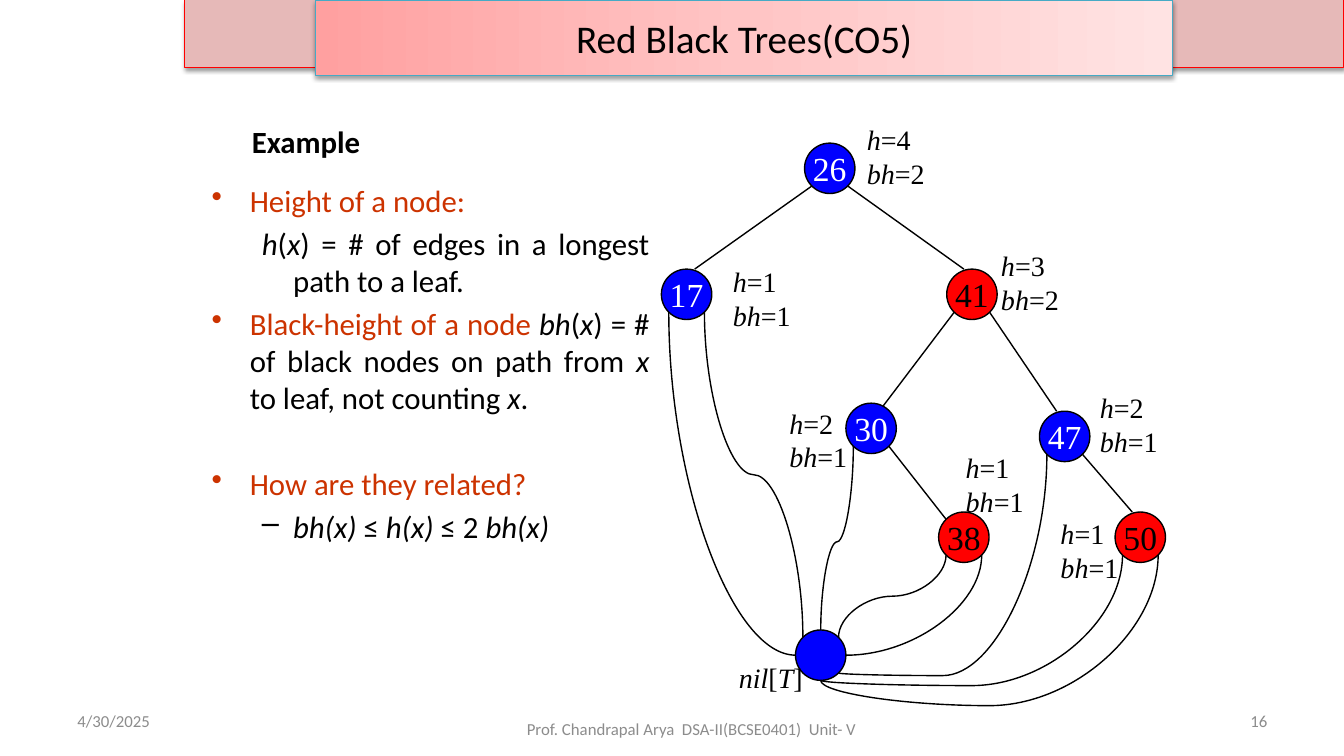
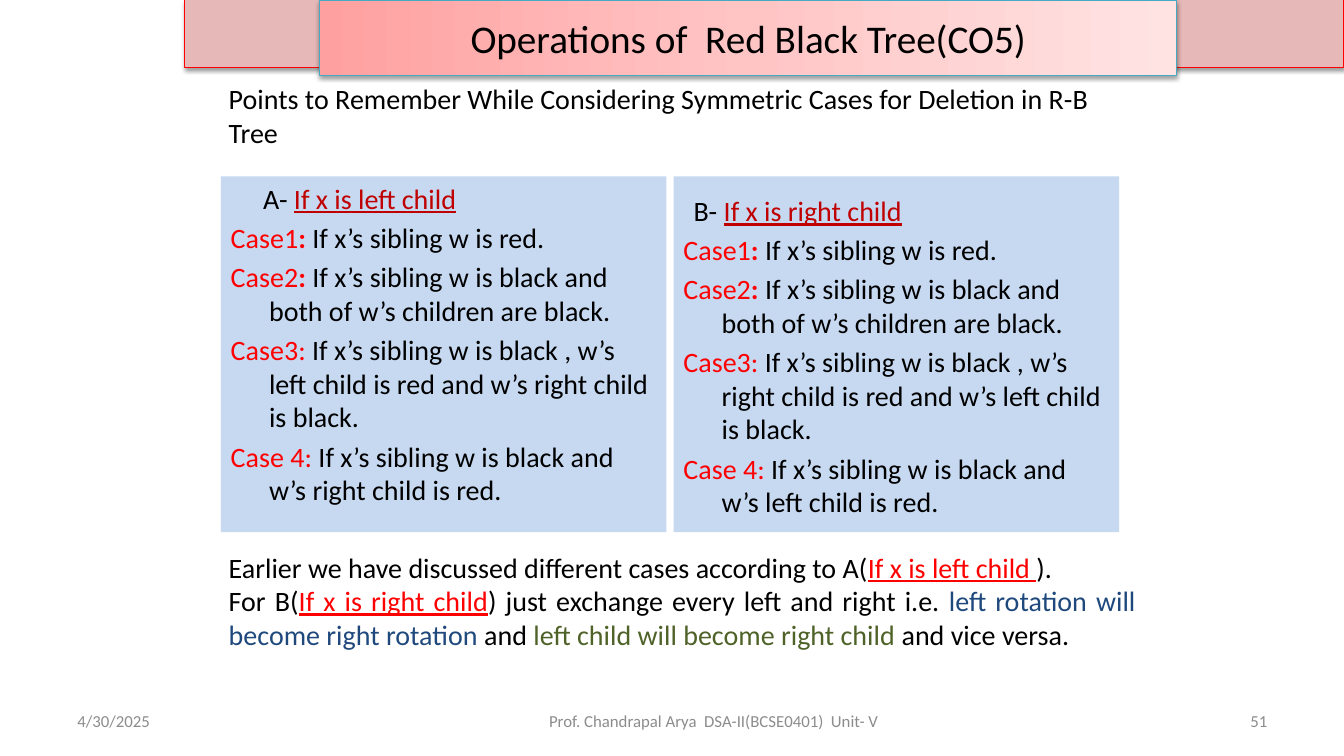
from math import cos, radians, sin

from lxml import etree
from pptx import Presentation
from pptx.dml.color import RGBColor
from pptx.enum.shapes import MSO_CONNECTOR, MSO_SHAPE
from pptx.enum.text import MSO_ANCHOR, MSO_AUTO_SIZE, PP_ALIGN
from pptx.oxml.ns import qn
from pptx.util import Inches, Pt

OVAL, RECTANGLE = MSO_SHAPE.OVAL, MSO_SHAPE.RECTANGLE
STRAIGHT, CURVE = MSO_CONNECTOR.STRAIGHT, MSO_CONNECTOR.CURVE
LEFT, CENTER, RIGHT, JUSTIFY = (PP_ALIGN.LEFT, PP_ALIGN.CENTER,
                                PP_ALIGN.RIGHT, PP_ALIGN.JUSTIFY)
TOP, MIDDLE = MSO_ANCHOR.TOP, MSO_ANCHOR.MIDDLE
NO_AUTOFIT = MSO_AUTO_SIZE.NONE

BLACK = RGBColor(0x00, 0x00, 0x00)
WHITE = RGBColor(0xFF, 0xFF, 0xFF)
RED = RGBColor(0xFF, 0x00, 0x00)
BLUE = RGBColor(0x00, 0x00, 0xFF)
PINK = RGBColor(0xE6, 0xB9, 0xB8)
TEAL = RGBColor(0x46, 0xAA, 0xC5)
GRAY = RGBColor(0x8C, 0x8C, 0x8C)
RUST = RGBColor(0xCC, 0x33, 0x00)
CRIMSON = RGBColor(0xC0, 0x00, 0x00)
PANEL_BLUE = RGBColor(0xC6, 0xD9, 0xF1)
NAVY = RGBColor(0x1F, 0x49, 0x7D)
OLIVE = RGBColor(0x4F, 0x62, 0x28)
BANNER_STOPS = [(0, RGBColor(0xFF, 0xA0, 0xA0)),
                (0.5, RGBColor(0xFF, 0xC5, 0xC5)),
                (1, RGBColor(0xFF, 0xE3, 0xE3))]

WIDTH, HEIGHT = 13.33, 7.5
MARGIN = 0.67
NODE_SIZE = 0.5
RADIUS = NODE_SIZE / 2
EDGE_OFFSET = 0.17

ITALIC = {"italic": True}
RUST_TEXT = {"color": RUST}
RED_TEXT = {"color": RED}
RED_LINK = {"color": RED, "underline": True}
CRIMSON_LINK = {"color": CRIMSON, "underline": True}

# name: (centre x, centre y, fill, text colour)
NODES = {
    "26": (8.23, 1.67, BLUE, WHITE),
    "17": (6.81, 2.92, BLUE, WHITE),
    "41": (9.64, 2.92, RED, BLACK),
    "30": (8.64, 4.25, BLUE, WHITE),
    "47": (10.56, 4.33, BLUE, WHITE),
    "38": (9.56, 5.33, RED, BLACK),
    "50": (11.31, 5.33, RED, BLACK),
    "": (8.14, 6.5, BLUE, WHITE),
}
# parent, child, distance of the end from the child's top centre (x, y)
EDGES = [("26", "17", 0.08, 0), ("26", "41", 0.08, 0),
         ("41", "30", 0.08, 0.08), ("41", "47", 0.08, 0),
         ("47", "50", 0.08, 0), ("30", "38", 0.17, 0.08)]
# node, its site, site on nil, bend; oval sites run counterclockwise from the top
NIL_CURVES = [("38", 3, 7, 0.5), ("38", 5, 6, None),
              ("47", 3, 5, 1.012), ("30", 3, 0, 0.52),
              ("17", 5, 1, 0.5), ("17", 3, 2, None),
              ("50", 3, 4, 1.042), ("50", 5, 4, 1.202)]
# left, top, height, black-height
HEIGHT_LABELS = [(8.5, 1.17, 4, 2), (9.83, 2.42, 3, 2), (7.73, 3.98, 2, 1),
                 (10.81, 3.83, 2, 1), (9.48, 4.42, 1, 1),
                 (7.17, 2.58, 1, 1), (10.42, 5.08, 1, 1)]


def place(shape, left, top, width, height):
    values = {"left": left, "top": top, "width": width, "height": height}
    for name, value in values.items():
        setattr(shape, name, Inches(value))


def write_paragraph(para, spans, size=20, font="Calibri", align=LEFT,
                    before=0, margin=0, indent=0, bullet=None):
    """Fill a paragraph with (text, overrides) spans or plain strings."""
    para.alignment = align
    para.space_before = Pt(before)
    properties = para._p.get_or_add_pPr()
    properties.set("marL", str(Inches(margin)))
    properties.set("indent", str(Inches(indent)))
    if bullet:
        etree.SubElement(properties, qn("a:buChar")).set("char", bullet)
    for span in spans:
        text, overrides = (span, {}) if isinstance(span, str) else span
        values = {"name": font, "size": Pt(size), "color": BLACK, **overrides}
        run = para.add_run()
        run.text = text
        run.font.color.rgb = values.pop("color")
        for name, value in values.items():
            setattr(run.font, name, value)


def write_text(shape, paragraphs, anchor=TOP, wrap=True, **common):
    """Write (spans, formats) paragraphs into a shape."""
    frame = shape.text_frame
    frame.auto_size = NO_AUTOFIT
    frame.word_wrap = wrap
    frame.vertical_anchor = anchor
    for index, (spans, formats) in enumerate(paragraphs):
        para = frame.add_paragraph() if index else frame.paragraphs[0]
        write_paragraph(para, spans, **{**common, **formats})


def add_text(page, area, paragraphs, **formats):
    box = page.shapes.add_textbox(*map(Inches, area))
    write_text(box, paragraphs, **formats)
    return box


def add_figure(page, kind, area, fill, line=None, weight=1):
    shape = page.shapes.add_shape(kind, *map(Inches, area))
    shape.shadow.inherit = False
    shape.fill.solid()
    shape.fill.fore_color.rgb = fill
    if line is None:
        shape.line.fill.background()
    else:
        shape.line.color.rgb = line
        shape.line.width = Pt(weight)
    return shape


def add_line(page, kind, start, end):
    line = page.shapes.add_connector(kind, *map(Inches, (*start, *end)))
    line.line.color.rgb = BLACK
    line.line.width = Pt(1)
    etree.SubElement(line._element.spPr, qn("a:effectLst"))
    return line


def cast_shadow(shape):
    shape.shadow.inherit = False
    effects = shape._element.spPr.find(qn("a:effectLst"))
    shadow = etree.SubElement(effects, qn("a:outerShdw"), blurRad="40000",
                              dist="20000", dir="5400000", rotWithShape="0")
    color = etree.SubElement(shadow, qn("a:srgbClr"), val="000000")
    etree.SubElement(color, qn("a:alpha"), val="38000")


def add_layout_band(page):
    """Draw the band behind the titles and hand it over to the layout."""
    band = add_figure(page, RECTANGLE, (1.83, 0, WIDTH - 1.83, 0.67),
                      PINK, RED, 0.75)
    cast_shadow(band)
    page.slide_layout.shapes._spTree.append(band._element)


def format_banner(page, text, left):
    banner = page.shapes.title
    place(banner, left, 0, 8.5, 0.75)
    banner.fill.gradient()
    banner.fill.gradient_angle = 0
    stop_list = banner._element.spPr.find(".//" + qn("a:gsLst"))
    etree.SubElement(stop_list, qn("a:gs"), pos="100000").append(
        etree.Element(qn("a:srgbClr"), val="FFFFFF"))
    for stop, (position, color) in zip(banner.fill.gradient_stops, BANNER_STOPS):
        stop.position = position
        stop.color.rgb = color
    banner.line.color.rgb = TEAL
    banner.line.width = Pt(0.75)
    cast_shadow(banner)
    write_text(banner, [([text], {})], anchor=MIDDLE, size=28, align=CENTER)


def add_footer(page, number, center_left, center_top):
    top, height, width = 6.95, 0.4, 3.11
    parts = [
        ("4/30/2025", (MARGIN, top, width, height), LEFT),
        ("Prof. Chandrapal Arya  DSA-II(BCSE0401)  Unit- V",
         (center_left, center_top, 4, height), CENTER),
        (str(number), (WIDTH - MARGIN - width + 0.01, top, width, height), RIGHT),
    ]
    for text, area, align in parts:
        add_text(page, area, [([(text, {"color": GRAY})], {})],
                 anchor=MIDDLE, size=12, align=align)


def site_point(name, site):
    x, y = NODES[name][:2]
    angle = radians(45 * site)
    return x - RADIUS * sin(angle), y - RADIUS * cos(angle)


def add_nodes(page):
    ovals = {}
    for name, (x, y, fill, color) in NODES.items():
        area = (x - RADIUS, y - RADIUS, NODE_SIZE, NODE_SIZE)
        oval = ovals[name] = add_figure(page, OVAL, area, fill, BLACK)
        if name:
            write_text(oval, [([(name, {"color": color})], {})], anchor=MIDDLE,
                       wrap=False, size=24, font="Times New Roman", align=CENTER)
    return ovals


def add_edge(page, parent, child, end_x, end_y):
    x, y = NODES[parent][:2]
    child_x, child_y = NODES[child][:2]
    side = 1 if child_x > x else -1
    add_line(page, STRAIGHT, (x + side * EDGE_OFFSET, y + EDGE_OFFSET),
             (child_x - side * end_x, child_y - RADIUS + end_y))


def add_nil_curve(page, ovals, name, site, nil_site, bend):
    """Join a node to nil by a curve that leaves the node downwards."""
    (x1, y1), (x2, y2) = start, end = site_point(name, site), site_point("", nil_site)
    curve = add_line(page, CURVE, start, end)
    across, down = abs(x2 - x1), y2 - y1
    place(curve, (x1 + x2 - down) / 2, (y1 + y2 - across) / 2, down, across)
    frame = curve._element.spPr.find(qn("a:xfrm"))
    frame.attrib.pop("flipH", None)
    if x2 > x1:
        frame.set("flipH", "1")
    frame.set("rot", str((270 if x2 > x1 else 90) * 60000))
    geometry = curve._element.spPr.find(qn("a:prstGeom"))
    geometry.set("prst", "curvedConnector3" if bend else "curvedConnector2")
    if bend:
        guides = geometry.find(qn("a:avLst"))
        etree.SubElement(guides, qn("a:gd"), name="adj1",
                         fmla=f"val {round(bend * 100000)}")
    joints = curve._element.find(".//" + qn("p:cNvCxnSpPr"))
    for tag, oval, index in (("a:stCxn", ovals[name], site),
                             ("a:endCxn", ovals[""], nil_site)):
        etree.SubElement(joints, qn(tag), id=str(oval.shape_id), idx=str(index))


def add_tree(page):
    for edge in EDGES:
        add_edge(page, *edge)
    ovals = add_nodes(page)
    for curve in NIL_CURVES:
        add_nil_curve(page, ovals, *curve)
    label = {"font": "Times New Roman", "wrap": False}
    for left, top, height, black_height in HEIGHT_LABELS:
        add_text(page, (left, top, 0.77, 0.77),
                 [([("h", ITALIC), f"={height}"], {}),
                  ([("bh", ITALIC), f"={black_height}"], {})], **label)
    add_text(page, (7.23, 6.5, 0.83, 0.43),
             [([("nil", ITALIC), "[", ("T", ITALIC), "]"], {})], **label)


def add_definitions(page):
    top = {"margin": 0.38, "indent": -0.38, "bullet": "•"}
    sub = {"margin": 0.81, "indent": -0.31, "before": 4.4}
    add_text(page, (2.4, 1.17, 1.66, 0.47),
             [([("Example", {"bold": True})], {})], size=22, align=JUSTIFY)
    add_text(page, (2, 1.75, 4.54, 4.5), [
        ([("Height of a node:", RUST_TEXT)], top),
        ([("h", ITALIC), "(", ("x", ITALIC),
          ") = # of edges in a longest path to a leaf."], sub),
        ([("Black-height of a node ", RUST_TEXT), ("bh", ITALIC), "(",
          ("x", ITALIC), ") = # of black nodes on path from ", ("x ", ITALIC),
          "to leaf, not counting ", ("x", ITALIC), "."], {**top, "before": 4.4}),
        ([("How are they related?", RUST_TEXT)], {**top, "before": 35}),
        ([("bh(x) ", ITALIC), "≤ ", ("h(x) ", ITALIC), "≤ 2 ", ("bh(x)", ITALIC)],
         {**sub, "bullet": "–"}),
    ], size=22, align=JUSTIFY)


def add_case_panel(page, left, letter, side, other, heading_margin, inset):
    panel = add_figure(page, RECTANGLE, (left, 1.75, 4.42, 3.53), PANEL_BLUE)
    panel.text_frame.margin_top = Inches(inset)
    colon = (": ", {"color": RED, "bold": True})
    cases = [
        [("Case1", RED_TEXT), colon, "If x’s sibling w is red."],
        [("Case2", RED_TEXT), colon,
         "If x’s sibling w is black and both of w’s children are black."],
        [("Case3:", RED_TEXT), f" If x’s sibling w is black , w’s {side} child "
         f"is red and w’s {other} child is black."],
        [("Case 4:", RED_TEXT),
         f" If x’s sibling w is black and w’s {other} child is red."],
    ]
    hanging = {"margin": 0.38, "indent": -0.38, "before": 4}
    heading = [f"{letter}- ", (f"If x is {side} child", CRIMSON_LINK)]
    write_text(panel, [(heading, {"margin": heading_margin})]
               + [(case, hanging) for case in cases])


def add_deletion_notes(page):
    add_text(page, (2.17, 0.76, 9, 0.92), [
        (["Points to Remember While Considering Symmetric Cases for "
          "Deletion in R-B Tree"], {})])
    add_case_panel(page, 2.19, "A", "left", "right", 0.32, 0.05)
    add_case_panel(page, 6.68, "B", "right", "left", 0.1, 0.17)
    add_text(page, (2.17, 5.41, 9.19, 1.11), [
        (["Earlier we have discussed different cases according to A(",
          ("If x is left child ", RED_LINK), ")."], {}),
        (["For B(", ("If x is right child", RED_LINK),
          ") just exchange every left and right i.e. ",
          ("left rotation will become right rotation", {"color": NAVY}), " and ",
          ("left child will become right child", {"color": OLIVE}),
          " and vice versa."], {}),
    ], align=JUSTIFY)


def main():
    deck = Presentation()
    deck.slide_width, deck.slide_height = Inches(WIDTH), Inches(HEIGHT)
    title_only = deck.slide_layouts[5]

    page = deck.slides.add_slide(title_only)
    add_layout_band(page)
    format_banner(page, "Red Black Trees(CO5)", 3.13)
    add_definitions(page)
    add_tree(page)
    add_footer(page, 16, 4.86, 7.03)

    page = deck.slides.add_slide(title_only)
    format_banner(page, "Operations of  Red Black Tree(CO5)", 3.17)
    add_deletion_notes(page)
    add_footer(page, 51, 5.08, 6.95)

    deck.save("out.pptx")


if __name__ == "__main__":
    main()
